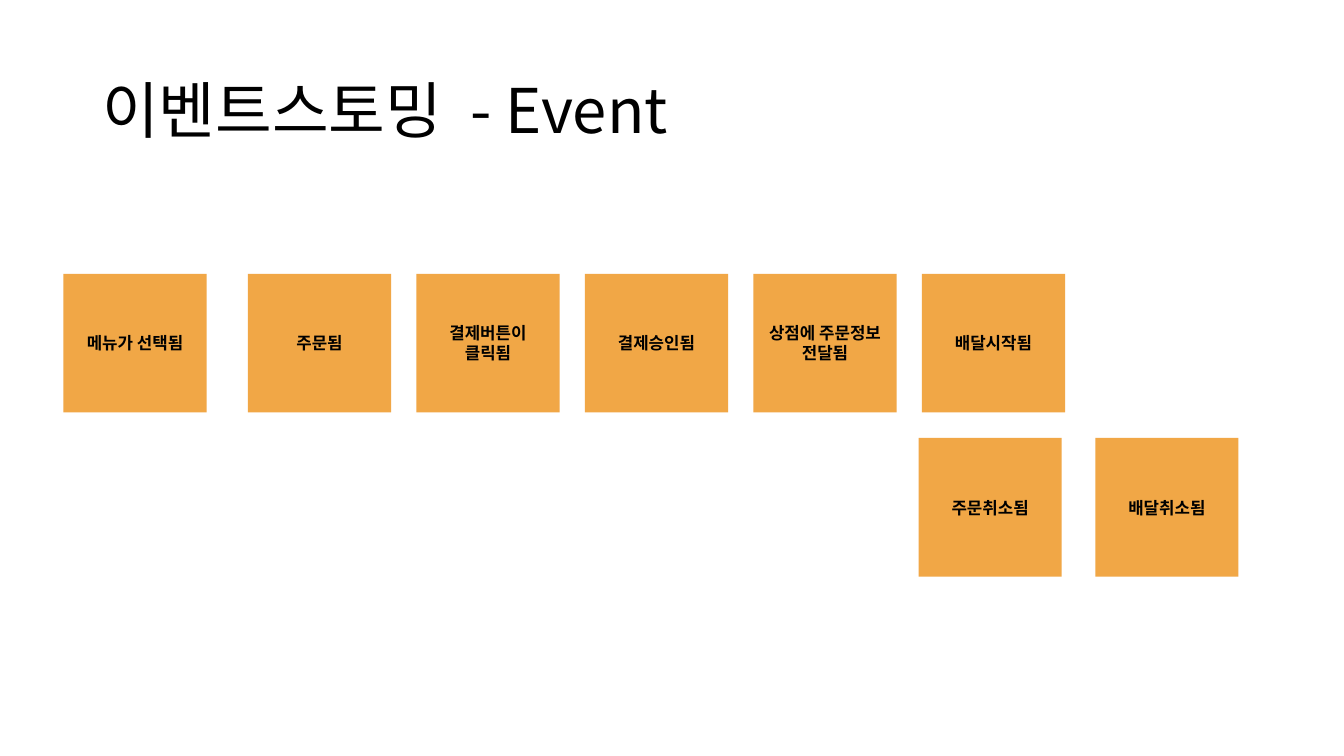
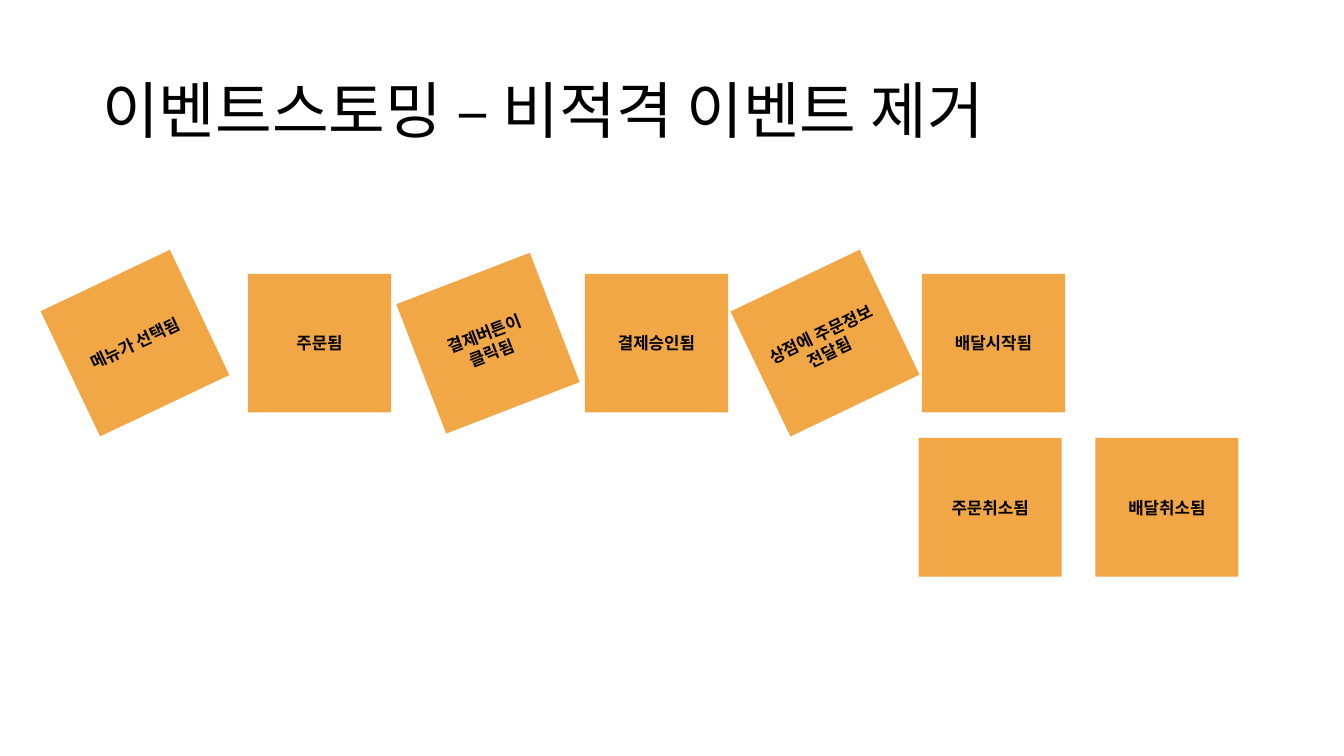
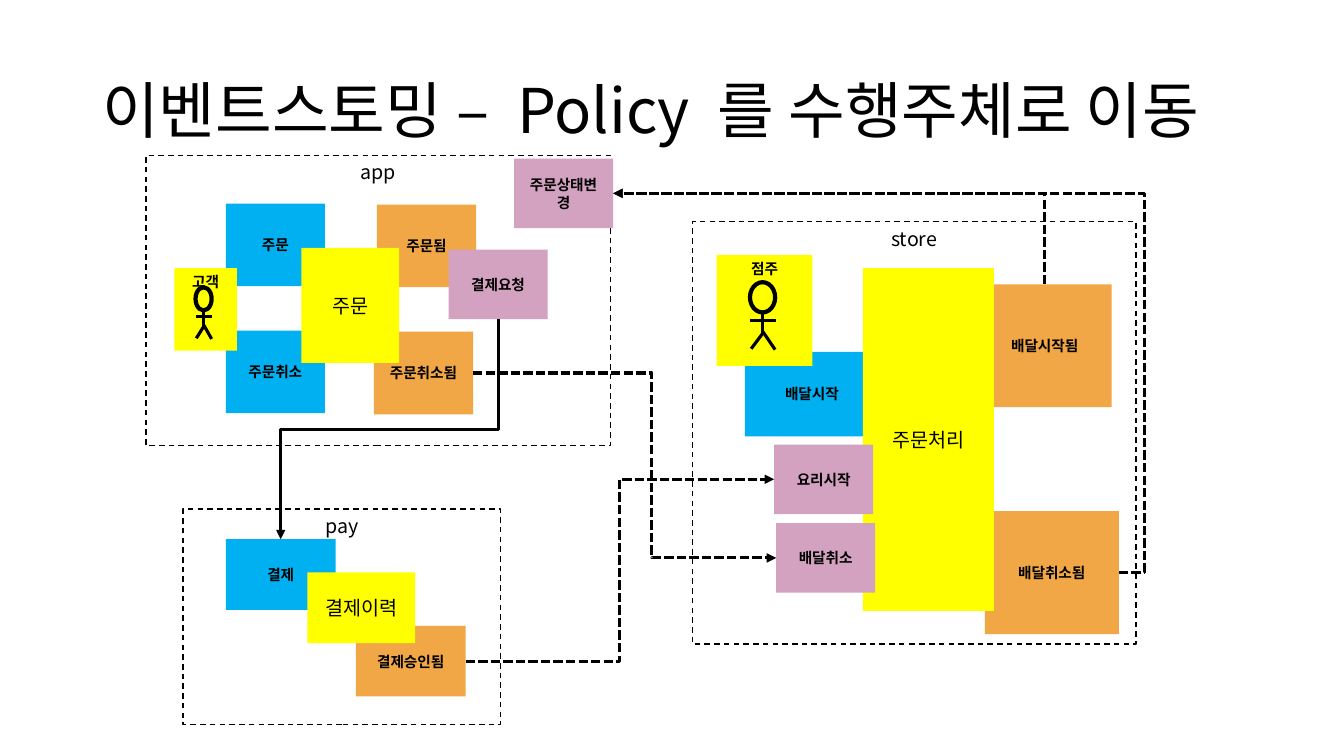
from lxml import etree
from pptx import Presentation
from pptx.dml.color import RGBColor
from pptx.enum.dml import MSO_LINE
from pptx.enum.shapes import MSO_CONNECTOR, MSO_SHAPE
from pptx.enum.text import MSO_ANCHOR, PP_ALIGN
from pptx.oxml.ns import qn
from pptx.util import Inches, Pt

RECTANGLE, OVAL = MSO_SHAPE.RECTANGLE, MSO_SHAPE.OVAL
STRAIGHT, ELBOW = MSO_CONNECTOR.STRAIGHT, MSO_CONNECTOR.ELBOW
DASH, SHORT_DASH = MSO_LINE.DASH, MSO_LINE.SQUARE_DOT
TOP, MIDDLE = MSO_ANCHOR.TOP, MSO_ANCHOR.MIDDLE
LEFT, CENTER = PP_ALIGN.LEFT, PP_ALIGN.CENTER
# Connection sites of a rectangle
SITE_TOP, SITE_LEFT, SITE_BOTTOM, SITE_RIGHT = range(4)

FONT = "Noto Sans CJK KR"
COLUMNS, ROWS = 80, 45
COLORS = {
    "ink": "000000",
    "event": "F1A746",
    "command": "00B0F0",
    "policy": "D4A2C1",
    "aggregate": "FFFF00",
    "actor": "FFFF00",
}
TEXT = {
    "title": {"size": Pt(44), "bold": False},
    "event": {"size": Pt(10.5), "bold": True},
    "big event": {"size": Pt(12), "bold": True},
    "aggregate": {"size": Pt(14), "bold": False},
}
for same_style in ("command", "policy", "actor"):
    TEXT[same_style] = TEXT["event"]
TEXT["boundary"] = TEXT["aggregate"]


class Board:
    """Draws event storming elements on the current slide."""

    def __init__(self):
        self.presentation = Presentation()
        self.presentation.slide_width = Inches(13.3333)
        self.presentation.slide_height = Inches(7.5)
        self.column = self.presentation.slide_width / COLUMNS
        self.row = self.presentation.slide_height / ROWS
        self.slide = None

    def add_slide(self):
        layout = self.presentation.slide_layouts[6]
        self.slide = self.presentation.slides.add_slide(layout)

    def place(self, *lengths):
        """Turn alternating columns and rows into slide units."""
        return [round(length * (self.row if index % 2 else self.column))
                for index, length in enumerate(lengths)]

    def color(self, name):
        return RGBColor.from_string(COLORS[name])

    def add_text(self, paragraph, text, style):
        run = paragraph.add_run()
        run.text = text
        for name, value in {"name": FONT, **TEXT[style]}.items():
            setattr(run.font, name, value)
        run.font.color.rgb = self.color("ink")
        properties = run.font._element
        etree.SubElement(properties, qn("a:ea")).set("typeface", FONT)
        return properties

    def frame(self, shape, anchor, alignment):
        frame = shape.text_frame
        for name, value in {"word_wrap": True, "vertical_anchor": anchor}.items():
            setattr(frame, name, value)
        paragraph = frame.paragraphs[0]
        paragraph.alignment = alignment
        return paragraph

    def stroke(self, line, width, dash=None):
        line.color.rgb = self.color("ink")
        line.width = Pt(width)
        if dash:
            line.dash_style = dash

    def title(self, *parts, width=69):
        """Set the parts with a wide gap between them."""
        box = self.slide.shapes.add_textbox(*self.place(5.5, 2.4, width, 8.7))
        paragraph = self.frame(box, MIDDLE, LEFT)
        paragraph.line_spacing = 0.9
        for index, part in enumerate(parts):
            if index:
                self.add_text(paragraph, " ", "title").set("spc", "990")
            self.add_text(paragraph, part, "title")

    def outline(self, kind, box):
        shape = self.slide.shapes.add_shape(kind, *self.place(*box))
        shape.shadow.inherit = False
        shape.fill.background()
        return shape

    def note(self, kind, text, box, style=None, rotation=0):
        shape = self.outline(RECTANGLE, box)
        shape.fill.solid()
        shape.fill.fore_color.rgb = self.color(kind)
        shape.line.fill.background()
        shape.rotation = rotation
        anchor = TOP if kind == "actor" else MIDDLE
        self.add_text(self.frame(shape, anchor, CENTER), text, style or kind)
        return shape

    def boundary(self, text, box):
        shape = self.outline(RECTANGLE, box)
        self.stroke(shape.line, 1, DASH)
        self.add_text(self.frame(shape, TOP, CENTER), text, "boundary")

    def connector(self, kind, ends, dash=None):
        connector = self.slide.shapes.add_connector(kind, *ends)
        self.stroke(connector.line, 2.25, dash)
        etree.SubElement(connector._element.spPr, qn("a:effectLst"))
        return connector

    def person(self, left, top, width, height):
        """Draw a stick figure in proportion to its head."""
        self.stroke(self.outline(OVAL, (left, top, width, height)).line, 3)
        limbs = [(0, 1.26, 1.05, 1.26), (0.5, 1, 0.5, 1.75),
                 (0.5, 1.7, 0.05, 2.2), (0.52, 1.64, 1, 2.23)]
        for x1, y1, x2, y2 in limbs:
            self.connector(STRAIGHT, self.place(
                left + x1 * width, top + y1 * height,
                left + x2 * width, top + y2 * height))

    def arrow(self, begin, begin_site, end, end_site, bend=0.5, dash=SHORT_DASH):
        """Join two notes; a bend of None makes a single corner."""
        connector = self.connector(ELBOW, (0, 0, 0, 0), dash)
        connector.begin_connect(begin, begin_site)
        connector.end_connect(end, end_site)
        if begin_site in (SITE_TOP, SITE_BOTTOM):
            self.turn(connector)
        properties = connector._element.spPr
        geometry = properties.find(qn("a:prstGeom"))
        if bend is None:
            geometry.set("prst", "bentConnector2")
        else:
            guide = etree.SubElement(geometry.find(qn("a:avLst")), qn("a:gd"))
            guide.set("name", "adj1")
            guide.set("fmla", f"val {round(bend * 100000)}")
        tail = etree.SubElement(properties.find(qn("a:ln")), qn("a:tailEnd"))
        tail.set("type", "triangle")

    def turn(self, connector):
        """Rotate an elbow so that it leaves its note vertically."""
        across = connector.end_x - connector.begin_x
        down = connector.end_y - connector.begin_y
        width, height = abs(down), abs(across)
        box = {
            "left": (connector.begin_x + connector.end_x - width) // 2,
            "top": (connector.begin_y + connector.end_y - height) // 2,
            "width": width,
            "height": height,
        }
        for name, value in box.items():
            setattr(connector, name, value)
        transform = connector._element.spPr.find(qn("a:xfrm"))
        flip = (across > 0) == (down > 0)
        for name, value in {"rot": 5400000 if down > 0 else 16200000,
                            "flipH": 0, "flipV": int(flip)}.items():
            transform.set(name, str(value))


def event_slide(board, title, rotations):
    board.add_slide()
    board.title(*title)
    first, step, upper, lower = 14.76, 10.03, 16.3, 26.07
    events = [("메뉴가 선택됨", 3.78, upper)]
    following = ["주문됨", "결제버튼이 클릭됨", "결제승인됨",
                 "상점에 주문정보 전달됨", "배달시작됨"]
    events += [(text, first + index * step, upper)
               for index, text in enumerate(following)]
    events += [("배달취소됨", 65.2, lower), ("주문취소됨", 54.68, lower)]
    for text, left, top in events:
        board.note("event", text, (left, top, 8.52, 8.25), "big event",
                   rotations.get(text, 0))


def policy_slide(board):
    board.add_slide()
    board.title("이벤트스토밍 –", "Policy", "를 수행주체로 이동", width=71.3)
    small, payment, delivery, flat = (5.9, 4.92), (6.54, 4.2), (7.98, 7.32), (5.9, 4.14)

    # App
    board.note("event", "주문됨", (22.44, 12.18, *small))
    order_cancelled = board.note("event", "주문취소됨", (22.26, 19.74, *small))
    board.note("command", "주문", (13.44, 12.12, *small))
    board.note("command", "주문취소", (13.44, 19.68, *small))
    board.note("actor", "고객", (10.38, 15.96, 3.72, 4.92))
    board.person(11.64, 17.1, 0.96, 1.38)
    board.note("aggregate", "주문", (17.94, 14.76, 5.82, 6.84))
    board.boundary("app", (8.7, 9.25, 27.66, 17.28))

    # Pay
    payment_approved = board.note("event", "결제승인됨", (21.18, 37.26, *payment))
    pay = board.note("command", "결제", (13.44, 32.1, *payment))
    board.note("aggregate", "결제이력", (18.3, 34.08, 6.42, 4.2))
    board.boundary("pay", (10.9, 30.3, 18.9, 12.84))

    # Store
    delivery_started = board.note("event", "배달시작됨", (58.2, 16.92, *delivery))
    delivery_cancelled = board.note("event", "배달취소됨", (58.62, 30.42, *delivery))
    board.note("command", "배달시작", (44.34, 20.94, 7.98, 5.04))
    board.note("actor", "점주", (42.66, 15.18, 5.7, 6.6))
    board.person(44.64, 16.8, 1.5, 1.8)
    board.note("aggregate", "주문처리", (51.36, 15.96, 7.8, 20.4))
    board.boundary("store", (41.22, 13.2, 26.4, 25.14))

    # Policies
    request_payment = board.note("policy", "결제요청", (26.7, 14.86, *flat))
    start_cooking = board.note("policy", "요리시작", (46.08, 26.46, *flat))
    cancel_delivery = board.note("policy", "배달취소", (46.2, 31.14, *flat))
    change_status = board.note("policy", "주문상태변경", (30.6, 9.44, *flat))

    # Flow
    board.arrow(request_payment, SITE_BOTTOM, pay, SITE_TOP, dash=None)
    board.arrow(delivery_started, SITE_TOP, change_status, SITE_RIGHT, bend=None)
    board.arrow(delivery_cancelled, SITE_RIGHT, change_status, SITE_RIGHT, bend=-0.05)
    board.arrow(payment_approved, SITE_RIGHT, start_cooking, SITE_LEFT)
    board.arrow(order_cancelled, SITE_RIGHT, cancel_delivery, SITE_LEFT, bend=0.59)


def main():
    board = Board()
    event_slide(board, ["이벤트스토밍", "- Event"], {})
    event_slide(board, ["이벤트스토밍 – 비적격 이벤트 제거"],
                {"메뉴가 선택됨": 334.6, "결제버튼이 클릭됨": 338.9,
                 "상점에 주문정보 전달됨": 334.4})
    policy_slide(board)
    board.presentation.save("out.pptx")


if __name__ == "__main__":
    main()
